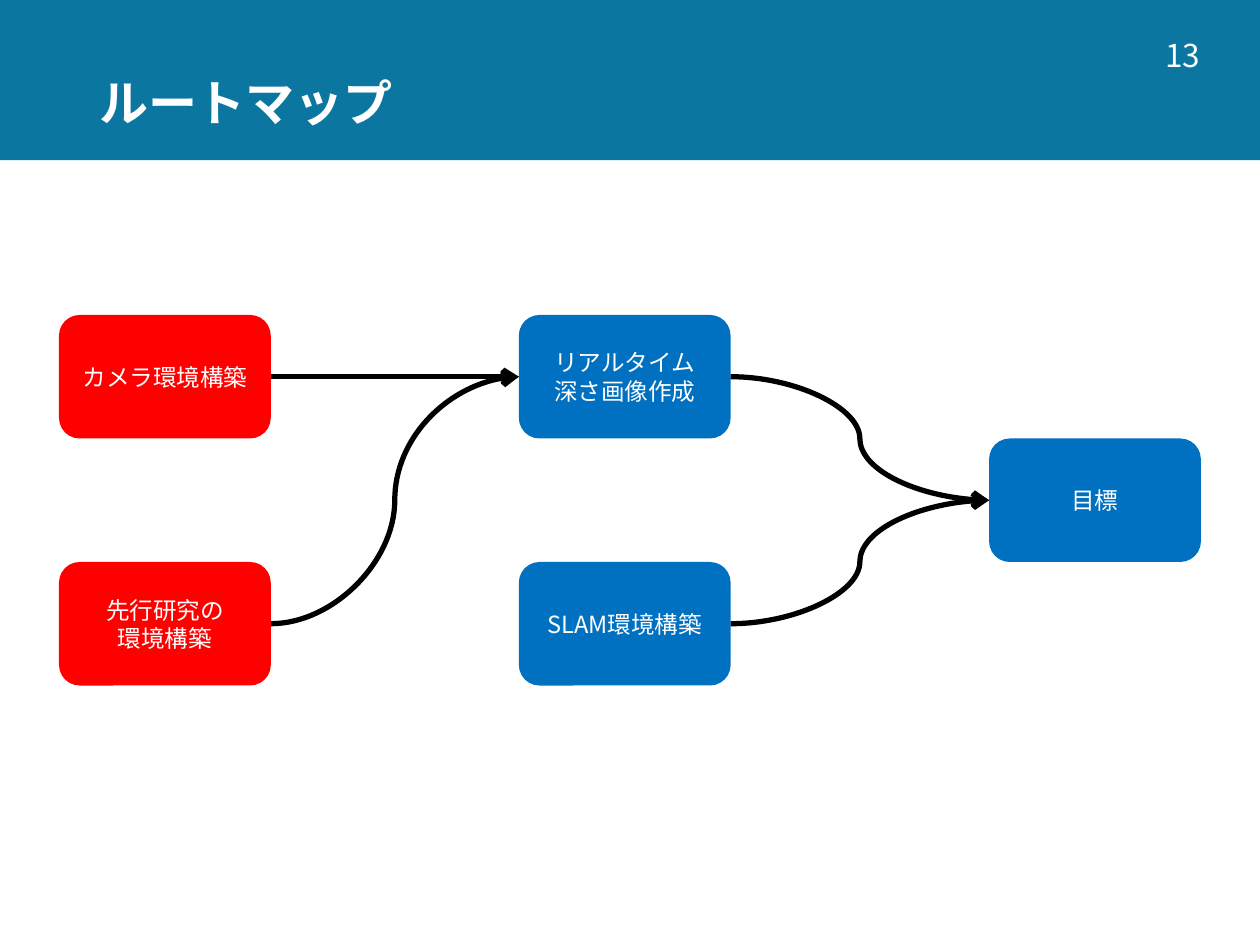
import dataclasses

import lxml.etree
import pptx
import pptx.dml.color
import pptx.enum.shapes
import pptx.enum.text
import pptx.oxml.ns
import pptx.util

Cm = pptx.util.Cm
Shape = pptx.enum.shapes.MSO_SHAPE
Connector = pptx.enum.shapes.MSO_CONNECTOR
Align = pptx.enum.text.PP_ALIGN
qn = pptx.oxml.ns.qn


@dataclasses.dataclass(frozen=True)
class Theme:
    font: str = "Noto Sans CJK JP"
    banner: str = "0B76A0"
    done: str = "FF0000"
    planned: str = "0070C0"
    arrow: str = "000000"
    text: str = "FFFFFF"
    title_size: float = 28
    number_size: float = 18
    step_size: float = 13.5
    arrow_width: float = 3


theme = Theme()


def write(box, text, size, align, bold=False):
    frame = box.text_frame
    frame.word_wrap = True
    frame.vertical_anchor = pptx.enum.text.MSO_ANCHOR.MIDDLE
    para = frame.paragraphs[0]
    para.text = text
    para.alignment = align
    para.font.name = theme.font
    para.font.size = pptx.util.Pt(size)
    para.font.bold = bold
    para.font.color.rgb = pptx.dml.color.RGBColor.from_string(theme.text)
    defaults = para.font._element
    lxml.etree.SubElement(defaults, qn("a:ea")).set("typeface", theme.font)
    return para


def add_block(kind, left, top, width, height, color):
    block = page.shapes.add_shape(kind, Cm(left), Cm(top), Cm(width), Cm(height))
    block.shadow.inherit = False
    block.fill.solid()
    block.fill.fore_color.rgb = pptx.dml.color.RGBColor.from_string(color)
    block.line.fill.background()
    return block


deck = pptx.Presentation()
deck.slide_width = Cm(25.4)
deck.slide_height = Cm(19.05)
page = deck.slides.add_slide(deck.slide_layouts[6])

add_block(Shape.RECTANGLE, 0, 0, 25.4, 3.23, theme.banner)
title = page.shapes.add_textbox(Cm(1.75), Cm(1.02), Cm(21.9), Cm(2.21))
write(title, "ルートマップ", theme.title_size, Align.LEFT, True).line_spacing = 0.9
number = page.shapes.add_textbox(Cm(22.28), Cm(0), Cm(3.12), Cm(2.21))
write(number, "13", theme.number_size, Align.CENTER)

step_width, step_height = 4.27, 2.49
first_top = 6.35
columns = (1.19, 10.46, 19.94)
steps = {
    "camera": ("カメラ環境構築", 0, 0, theme.done),
    "research": ("先行研究の\n環境構築", 0, 2, theme.done),
    "depth": ("リアルタイム\n深さ画像作成", 1, 0, theme.planned),
    "slam": ("SLAM環境構築", 1, 2, theme.planned),
    "goal": ("目標", 2, 1, theme.planned),
}
boxes = {}
for name, (label, column, row, color) in steps.items():
    top = first_top + row * step_height
    box = add_block(Shape.ROUNDED_RECTANGLE, columns[column], top,
                    step_width, step_height, color)
    write(box, label.replace("\n", "\v"), theme.step_size, Align.CENTER)
    boxes[name] = box

left_site, right_site = 1, 3
arrows = (
    ("camera", "depth", Connector.STRAIGHT),
    ("research", "depth", Connector.CURVE),
    ("depth", "goal", Connector.CURVE),
    ("slam", "goal", Connector.CURVE),
)
for source, target, kind in arrows:
    start, end = boxes[source], boxes[target]
    arrow = page.shapes.add_connector(
        kind,
        start.left + start.width, start.top + start.height // 2,
        end.left, end.top + end.height // 2,
    )
    arrow.begin_connect(start, right_site)
    arrow.end_connect(end, left_site)
    arrow.line.color.rgb = pptx.dml.color.RGBColor.from_string(theme.arrow)
    arrow.line.width = pptx.util.Pt(theme.arrow_width)
    properties = arrow._element.spPr
    outline = properties.find(qn("a:ln"))
    lxml.etree.SubElement(outline, qn("a:tailEnd")).set("type", "arrow")
    lxml.etree.SubElement(properties, qn("a:effectLst"))

deck.save("out.pptx")
